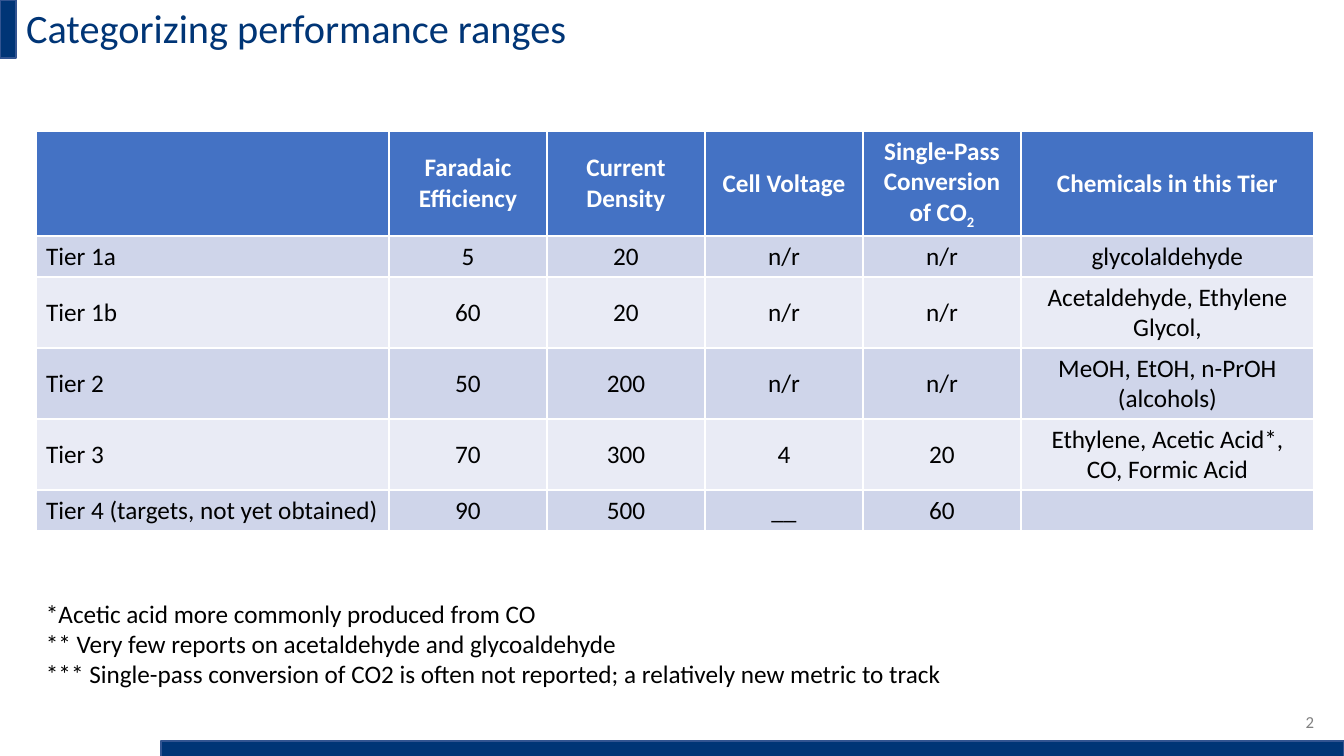
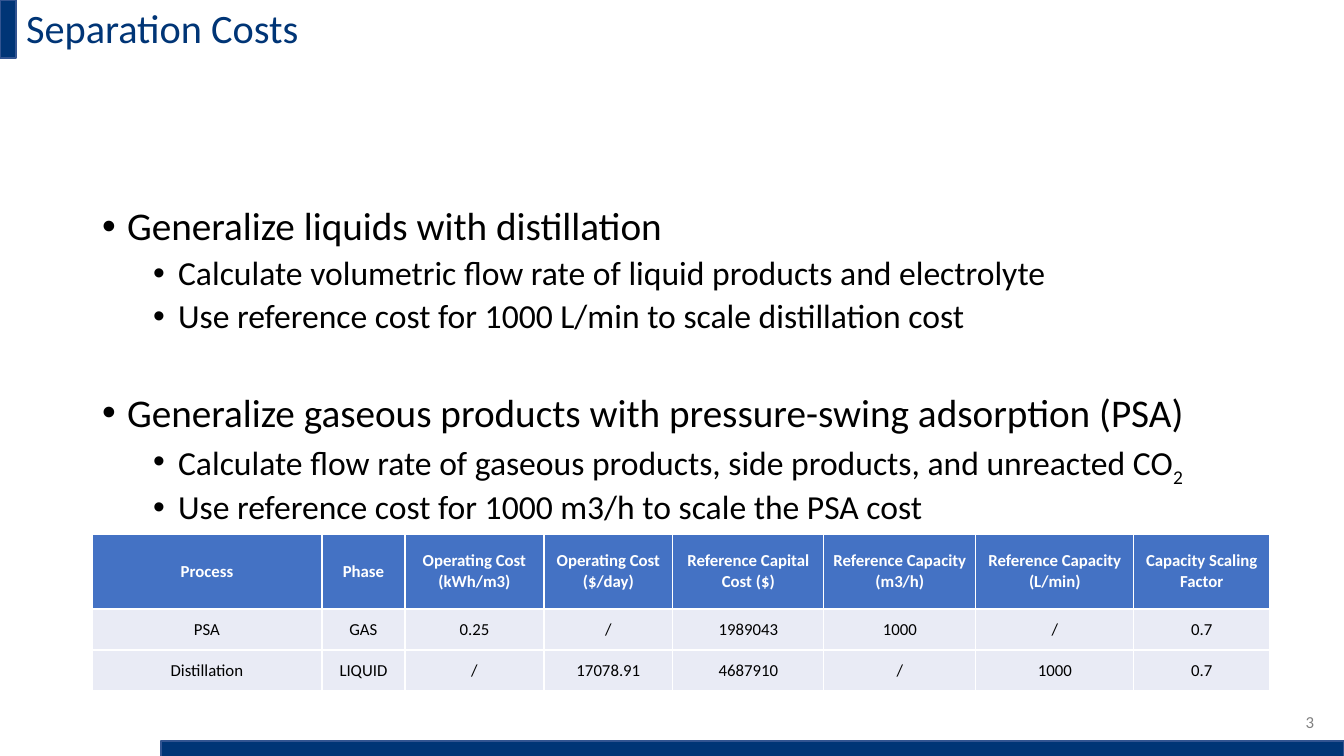
from pptx import Presentation
from pptx.dml.color import RGBColor
from pptx.enum.shapes import MSO_SHAPE
from pptx.enum.text import MSO_ANCHOR, MSO_AUTO_SIZE, PP_ALIGN
from pptx.oxml import parse_xml
from pptx.oxml.ns import nsdecls
from pptx.util import Emu, Pt

# Shared look
FONT = "Calibri"
NAVY, EDGE, BLUE = "003576", "325491", "4472C4"
DARK, PALE = "CFD5EA", "E9EBF5"
BLACK, WHITE, GRAY = "000000", "FFFFFF", "808080"
BANDS = [(0, 0, 16, 58), (161, 741, 1183, 16)]
TITLE = (16, 1, 1236, 58)
PAGE = (1232, 702, 92, 40)
LEFT, MID, RIGHT = PP_ALIGN.LEFT, PP_ALIGN.CENTER, PP_ALIGN.RIGHT


def px(n):
    return Emu(round(n * 914400 / 100.8))


def rgb(code):
    return RGBColor.from_string(code)


def place(shape, box):
    shape.left, shape.top, shape.width, shape.height = map(px, box)


def write(par, text, size, color, align=LEFT, bold=False):
    """Fill a paragraph; each part between bars is a subscript."""
    par.alignment = align
    for i, part in enumerate(text.split("|")):
        run = par.add_run()
        run.text = part
        font = run.font
        font.name, font.size, font.bold = FONT, Pt(size), bold
        font.color.rgb = rgb(color)
        if i % 2:
            run._r.get_or_add_rPr().set("baseline", "-25000")


def lines(frame, texts, *style):
    for i, text in enumerate(texts):
        par = frame.add_paragraph() if i else frame.paragraphs[0]
        write(par, text, *style)


def label(slide, box, texts, *style, anchor=MSO_ANCHOR.TOP):
    frame = slide.shapes.add_textbox(*map(px, box)).text_frame
    frame.word_wrap = True
    frame.vertical_anchor = anchor
    lines(frame, texts, *style)


# Bands, title and page number
def start(deck, layout, title, page):
    slide = deck.slides.add_slide(deck.slide_layouts[layout])
    for box in BANDS:
        band = slide.shapes.add_shape(MSO_SHAPE.RECTANGLE, *map(px, box))
        band.shadow.inherit = False
        band.fill.solid()
        band.fill.fore_color.rgb = rgb(NAVY)
        band.line.color.rgb = rgb(EDGE)
        band.line.width = Pt(1)
    head = slide.shapes.title
    place(head, TITLE)
    frame = head.text_frame
    frame.auto_size = MSO_AUTO_SIZE.NONE
    frame.vertical_anchor = MSO_ANCHOR.MIDDLE
    frame.paragraphs[0].line_spacing = 0.9
    write(frame.paragraphs[0], title, 28.8, NAVY)
    label(slide, PAGE, [page], 12, GRAY, RIGHT, anchor=MSO_ANCHOR.MIDDLE)
    return slide


# Table with a blue header; fills alternate down the body
def grid(slide, spot, cols, rows, data, size, fills, first=MID, inset=None):
    box = (*spot, sum(cols), sum(rows))
    table = slide.shapes.add_table(len(rows), len(cols), *map(px, box)).table
    for col, width in zip(table.columns, cols):
        col.width = px(width)
    for r, (row, high) in enumerate(zip(table.rows, rows)):
        row.height = px(high)
        fill = fills[(r - 1) % len(fills)] if r else BLUE
        for c, text in enumerate(data[r]):
            cell = table.cell(r, c)
            cell.fill.solid()
            cell.fill.fore_color.rgb = rgb(fill)
            cell.vertical_anchor = MSO_ANCHOR.MIDDLE
            if inset is not None:
                cell.margin_left = cell.margin_right = px(inset)
                cell.margin_top = cell.margin_bottom = px(inset)
            if text:
                write(cell.text_frame.paragraphs[0], text, size,
                      BLACK if r else WHITE, MID if c else first, not r)


# Two-level list in the body placeholder
def points(slide, box, items):
    body = slide.placeholders[1]
    place(body, box)
    frame = body.text_frame
    frame.auto_size = MSO_AUTO_SIZE.NONE
    for i, (level, gap, text) in enumerate(items):
        par = frame.add_paragraph() if i else frame.paragraphs[0]
        par.level = level
        par.line_spacing = 0.9
        par.space_before = Pt(gap)
        write(par, text, 24 if level else 28, BLACK)
        props = par._p.get_or_add_pPr()
        props.set("marL", str(px(76 if level else 25)))
        props.set("indent", str(-px(25)))
        for tag in (f'<a:buFont {nsdecls("a")} typeface="Arial"/>',
                    f'<a:buChar {nsdecls("a")} char="•"/>'):
            props.append(parse_xml(tag))


def tiers(deck):
    slide = start(deck, 5, "Categorizing performance ranges", "2")
    data = [
        ["", "Faradaic Efficiency", "Current Density", "Cell Voltage",
         "Single-Pass Conversion of CO|2", "Chemicals in this Tier"],
        ["Tier 1a", "5", "20", "n/r", "n/r", "glycolaldehyde"],
        ["Tier 1b", "60", "20", "n/r", "n/r", "Acetaldehyde, Ethylene Glycol,"],
        ["Tier 2", "50", "200", "n/r", "n/r", "MeOH, EtOH, n-PrOH (alcohols)"],
        ["Tier 3", "70", "300", "4", "20",
         "Ethylene, Acetic Acid*, CO, Formic Acid"],
        ["Tier 4 (targets, not yet obtained)", "90", "500", "__", "60", ""],
    ]
    grid(slide, (36, 131), [353] + [158] * 4 + [293],
         [105, 41, 71, 71, 71, 41], data, 18, [DARK, PALE], first=LEFT)
    label(slide, (36, 593, 1269, 132), [
        "*Acetic acid more commonly produced from CO",
        "** Very few reports on acetaldehyde and glycoaldehyde",
        "*** Single-pass conversion of CO2 is often not reported; "
        "a relatively new metric to track"], 18, BLACK)


def costs(deck):
    slide = start(deck, 1, "Separation Costs", "3")
    points(slide, (92, 202, 1159, 480), [
        (0, 10, "Generalize liquids with distillation"),
        (1, 5, "Calculate volumetric flow rate of liquid products "
               "and electrolyte"),
        (1, 5, "Use reference cost for 1000 L/min to scale distillation cost"),
        (0, 41, "Generalize gaseous products with pressure-swing "
                "adsorption (PSA)"),
        (1, 5, "Calculate flow rate of gaseous products, side products, "
               "and unreacted CO|2"),
        (1, 5, "Use reference cost for 1000 m3/h to scale the PSA cost"),
    ])
    data = [
        ["Process", "Phase", "Operating Cost (kWh/m3)",
         "Operating Cost ($/day)", "Reference Capital Cost ($)",
         "Reference Capacity (m3/h)", "Reference Capacity (L/min)",
         "Capacity Scaling Factor"],
        ["PSA", "GAS", "0.25", "/", "1989043", "1000", "/", "0.7"],
        ["Distillation", "LIQUID", "/", "17078.91", "4687910", "/", "1000",
         "0.7"],
    ]
    grid(slide, (92, 534), [230, 83, 139, 129, 151, 152, 158, 136],
         [75, 41, 41], data, 12, [PALE], inset=0)


deck = Presentation()
deck.slide_width, deck.slide_height = px(1344), px(756)
tiers(deck)
costs(deck)
deck.save("out.pptx")
